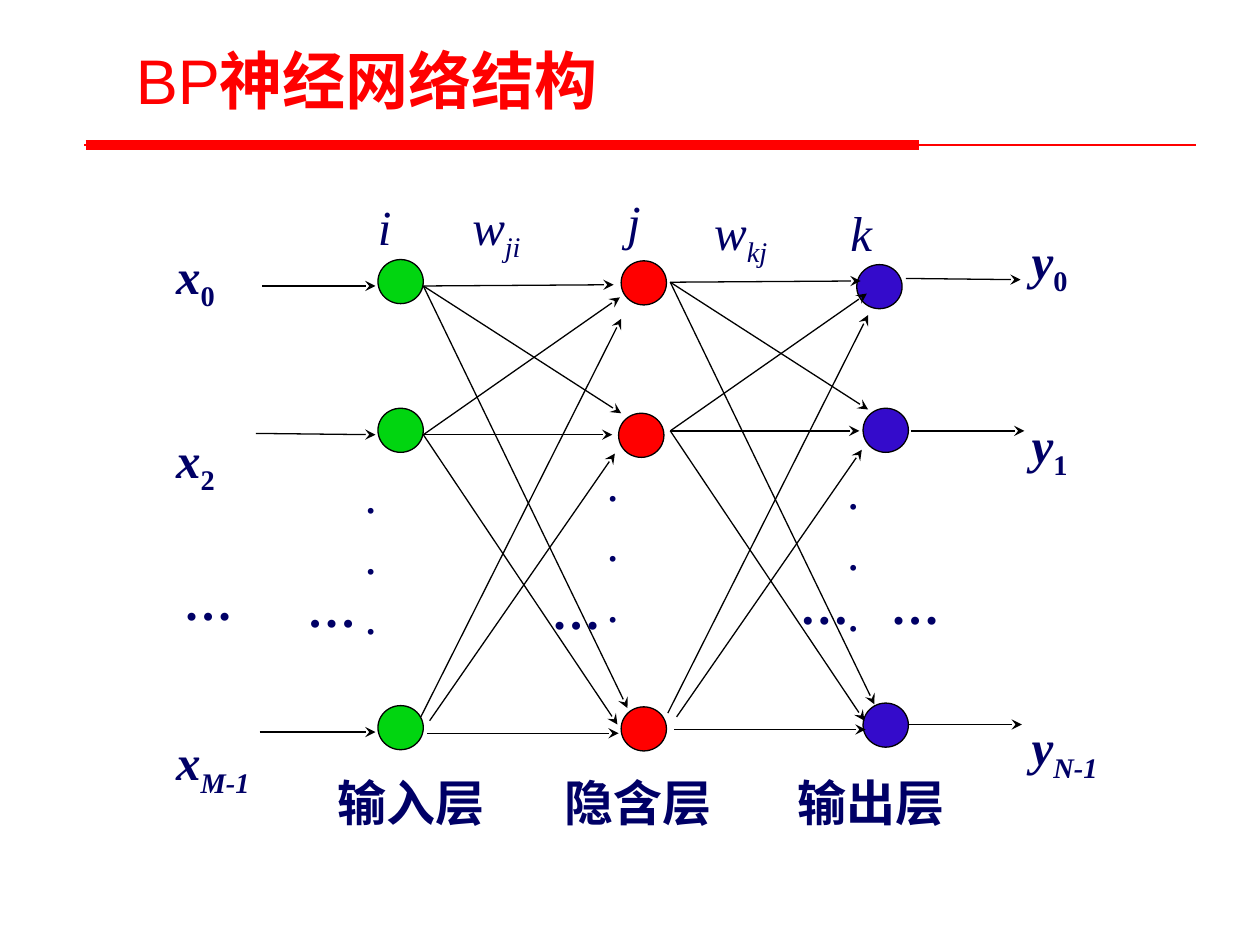
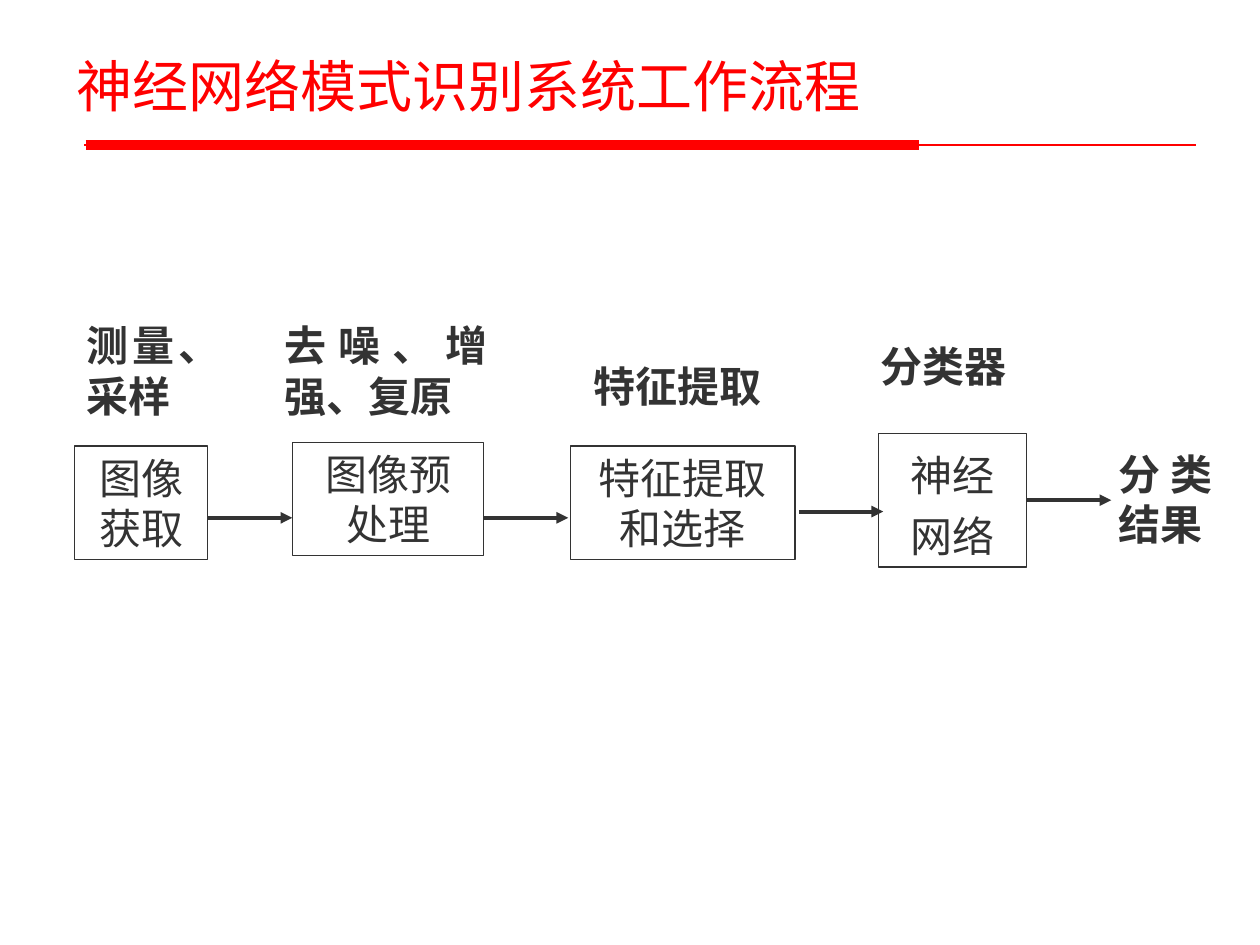
import pptx
import pptx.dml.color
import pptx.enum.shapes
import pptx.enum.text
import pptx.oxml
import pptx.oxml.ns
import pptx.util

RED = pptx.dml.color.RGBColor(0xFF, 0x00, 0x00)
GREEN = pptx.dml.color.RGBColor(0x01, 0xD5, 0x10)
BLUE = pptx.dml.color.RGBColor(0x34, 0x0B, 0xCB)
NAVY = pptx.dml.color.RGBColor(0x00, 0x00, 0x66)
GREY = pptx.dml.color.RGBColor(0x33, 0x33, 0x33)
BLACK = pptx.dml.color.RGBColor(0x00, 0x00, 0x00)

SERIF = "Times New Roman"
SANS = "Arial"
COLUMNS, ROWS = 100, 75
BLANK_LAYOUT = 6
ALIGN = pptx.enum.text.PP_ALIGN
SHAPE = pptx.enum.shapes.MSO_SHAPE
LEFT_SIDE, RIGHT_SIDE = 1, 3


def write_text(frame, text, *, size=24, color=GREY, font=SERIF, bold=False,
               italic=False, align=ALIGN.LEFT, line_spacing=None, gap=0):
    """Fill a frame; text is a string or a list of (text, run format) pairs."""
    frame.word_wrap = True
    frame.vertical_anchor = pptx.enum.text.MSO_ANCHOR.TOP
    lines = [[(line, {})] for line in text.split("\n")] if isinstance(text, str) else [text]
    for number, line in enumerate(lines):
        paragraph = frame.add_paragraph() if number else frame.paragraphs[0]
        paragraph.alignment = align
        paragraph.line_spacing = line_spacing
        if number and gap:
            paragraph.space_before = pptx.util.Pt(gap)
        for words, changes in line:
            run = paragraph.add_run()
            run.text = words
            run.font.name = font
            run.font.size = pptx.util.Pt(size)
            run.font.color.rgb = color
            run.font.bold = changes.get("bold", bold)
            run.font.italic = changes.get("italic", italic)
            if changes.get("subscript"):
                run._r.get_or_add_rPr().set("baseline", "-25000")


class Deck:
    """Holds the shared style and the current slide; lengths are grid units."""

    def __init__(self):
        self.presentation = pptx.Presentation()
        self.presentation.slide_width = pptx.util.Inches(10)
        self.presentation.slide_height = pptx.util.Inches(7.5)
        self.slide = None

    def across(self, columns):
        return round(self.presentation.slide_width * columns / COLUMNS)

    def down(self, rows):
        return round(self.presentation.slide_height * rows / ROWS)

    def area(self, left, top, width, height):
        return self.across(left), self.down(top), self.across(width), self.down(height)

    def start_slide(self, title, area, **style):
        layout = self.presentation.slide_layouts[BLANK_LAYOUT]
        self.slide = self.presentation.slides.add_slide(layout)
        self.line((6.7, 11.5), (94.9, 11.5), color=RED)
        self.line((6.8, 11.5), (72.9, 11.5), color=RED, width=6)
        self.text(title, area, font=SANS, color=RED, **style)

    def text(self, text, area, **style):
        box = self.slide.shapes.add_textbox(*self.area(*area))
        write_text(box.text_frame, text, **style)

    def shape(self, kind, area, fill=None, outline=BLACK):
        shape = self.slide.shapes.add_shape(kind, *self.area(*area))
        shape.shadow.inherit = False
        if fill is None:
            shape.fill.background()
        else:
            shape.fill.solid()
            shape.fill.fore_color.rgb = fill
        shape.line.color.rgb = outline
        shape.line.width = pptx.util.Pt(0.75)
        return shape

    def box(self, text, area, **style):
        box = self.shape(SHAPE.RECTANGLE, area, outline=GREY)
        write_text(box.text_frame, text, align=ALIGN.CENTER, **style)
        return box

    def line(self, start, end, color=BLACK, width=0.75, head=None):
        line = self.slide.shapes.add_connector(
            pptx.enum.shapes.MSO_CONNECTOR.STRAIGHT,
            self.across(start[0]), self.down(start[1]),
            self.across(end[0]), self.down(end[1]))
        line.line.color.rgb = color
        line.line.width = pptx.util.Pt(width)
        if head:
            stroke = line.line._get_or_add_ln()
            stroke.append(pptx.oxml.parse_xml(
                f'<a:tailEnd {pptx.oxml.ns.nsdecls("a")} type="{head}"/>'))
        line._element.spPr.append(pptx.oxml.parse_xml(
            f'<a:effectLst {pptx.oxml.ns.nsdecls("a")}/>'))
        return line


def network_slide(deck):
    deck.start_slide([("BP", {}), ("神经网络结构", {"bold": True})],
                     (9.8, 2.8, 52.8, 7.1), size=36)
    symbol = dict(size=28, color=NAVY)

    def edges(ends, shift=(0, 0)):
        for x1, y1, x2, y2 in ends:
            deck.line((x1 + shift[0], y1 + shift[1]),
                      (x2 + shift[0], y2 + shift[1]), head="stealth")

    # Arrows into the input layer and from there to the hidden layer
    edges([(20.8, 22.7, 29.8, 22.7), (20.3, 34.4, 29.8, 34.5), (20.6, 58.1, 29.8, 58.1)])
    layer_edges = [
        (33.6, 22.7, 48.7, 22.6), (33.6, 22.7, 49.3, 32.8), (33.6, 22.7, 49.8, 56.2),
        (33.6, 34.5, 49.2, 23.6), (33.6, 34.5, 48.6, 34.5), (33.6, 34.5, 49, 57.5),
        (33.4, 56.9, 49.3, 25.3), (34.1, 57.2, 48.8, 36), (33.9, 58.2, 49.1, 58.2)]
    edges(layer_edges)

    # Neurons of the three layers
    layers = {
        GREEN: [(30, 20.6), (30, 32.4), (30, 56)],
        RED: [(49.3, 20.7), (49.1, 32.8), (49.3, 56.1)],
        BLUE: [(68, 21), (68.5, 32.4), (68.5, 55.8)]}
    for color, neurons in layers.items():
        for left, top in neurons:
            deck.shape(SHAPE.OVAL, (left, top, 3.6, 3.5), fill=color)

    # Arrows from the hidden layer to the output layer and out
    edges(layer_edges, shift=(19.6, -0.3))
    edges([(71.9, 22.1, 81, 22.2), (72.3, 34.2, 81.3, 34.2), (72.1, 57.5, 81.1, 57.5)])

    # Input and output signals
    signals = [("x", 13, 19, ("0", "2", "M-1")), ("y", 80.9, 17.8, ("0", "1", "N-1"))]
    for name, left, top, indices in signals:
        for index, offset in zip(indices, (0, 14.6, 38.6)):
            runs = [(name, {}), (index, {"subscript": True, "italic": not index.isdigit()})]
            deck.text(runs, (left, top + offset, 10.3, 5.5), bold=True, italic=True, **symbol)

    # Indices and weights
    for name, left, top in [("i", 29, 15.1), ("j", 48.8, 14.7), ("k", 66.5, 15.6)]:
        deck.text(name, (left, top, 6, 8), italic=True, **symbol)
    for index, left, top in [("ji", 36.5, 15.1), ("kj", 55.7, 15.5)]:
        deck.text([("w", {}), (index, {"subscript": True})], (left, top, 11, 7.5),
                  italic=True, **symbol)

    # Omitted neurons and signals
    for left, top in [(27.8, 37.5), (47, 36.5), (66.1, 37.2)]:
        deck.text("·\n·\n·", (left, top, 8.2, 16.1), gap=1, **symbol)
    for left, top in [(13.6, 44.9), (23.4, 45.4), (42.8, 45.6), (62.5, 45.2), (69.7, 45.2)]:
        deck.text("…", (left, top, 6, 4.8), bold=True, **symbol)

    # Layer names
    for name, left in [("输入层", 25.8), ("隐含层", 43.8), ("输出层", 62.3)]:
        deck.text(name, (left, 60.8, 16, 7.1), bold=True, **symbol)


def workflow_slide(deck):
    deck.start_slide("神经网络模式识别系统工作流程", (5.1, 3.6, 68.5, 7.9), size=32)

    # Captions and result
    for caption, area in [("测量、采样", (5.9, 24.9, 12.6, 9)),
                          ("去噪、增强、复原", (21.6, 24.9, 18.1, 9)),
                          ("特征提取", (46.1, 28.1, 17.3, 5)),
                          ("分类器", (68.9, 26.5, 12.6, 5)),
                          ("分类结果", (87.8, 35.1, 9.4, 9))]:
        deck.text(caption, area, bold=True, align=ALIGN.JUSTIFY)

    # Processing steps
    deck.box("图像获取", (5.9, 35.4, 10.6, 9))
    deck.box("图像预\n处理", (23.2, 35.1, 15.2, 9))
    deck.box("特征提取和选择", (45.3, 35.4, 17.8, 9))
    classifier = deck.box("神经网络", (69.7, 34.4, 11.8, 10.6), line_spacing=1.2)

    # Arrows between the steps
    arrows = [deck.line((left, row), (left + 6.7, row), color=GREY, width=2.25, head="triangle")
              for left, row in [(16.5, 41.1), (38.4, 41.1), (63.4, 40.6), (81.5, 39.7)]]
    arrows[-1].begin_connect(classifier, RIGHT_SIDE)


def main():
    deck = Deck()
    network_slide(deck)
    workflow_slide(deck)
    deck.presentation.save("out.pptx")


if __name__ == "__main__":
    main()
